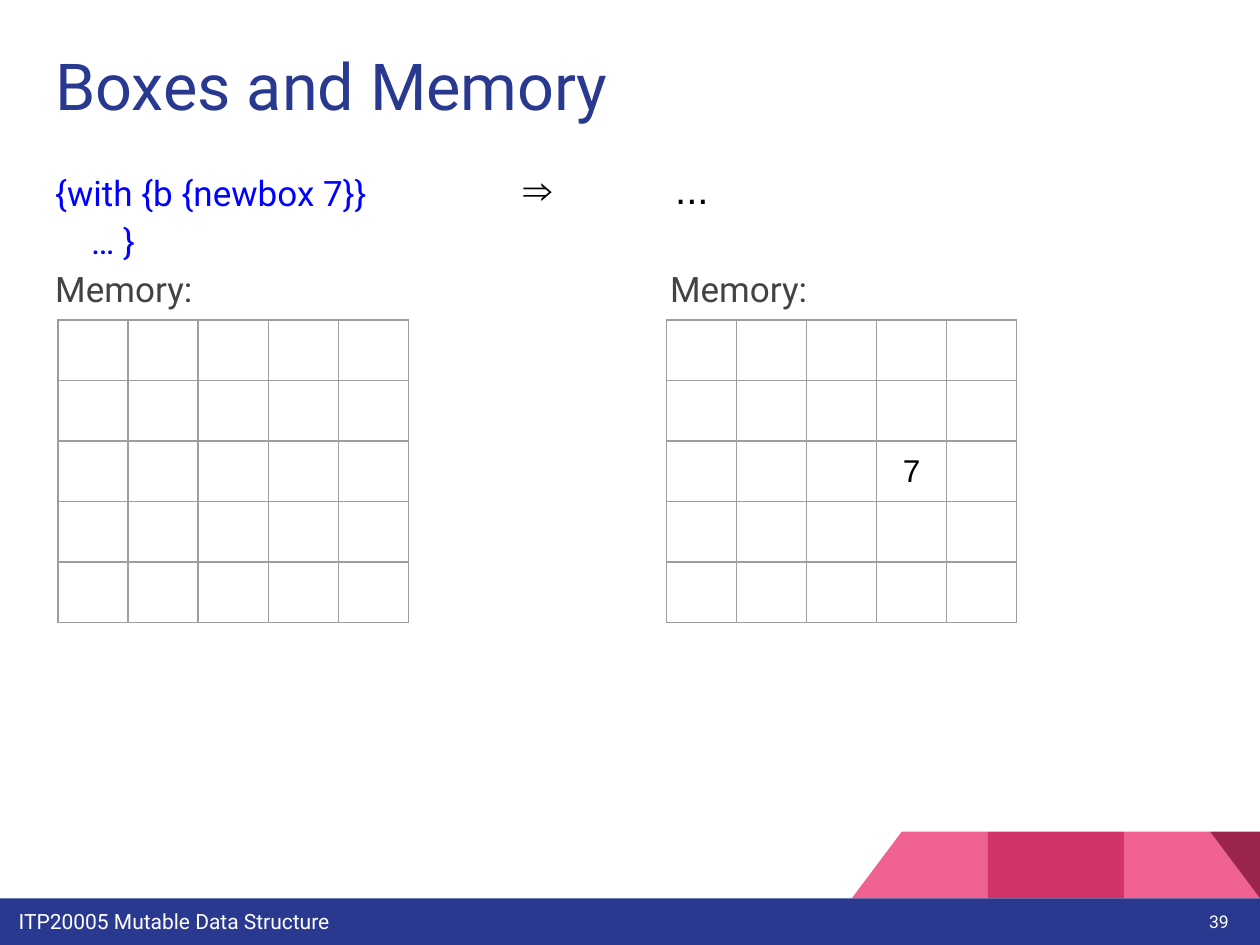
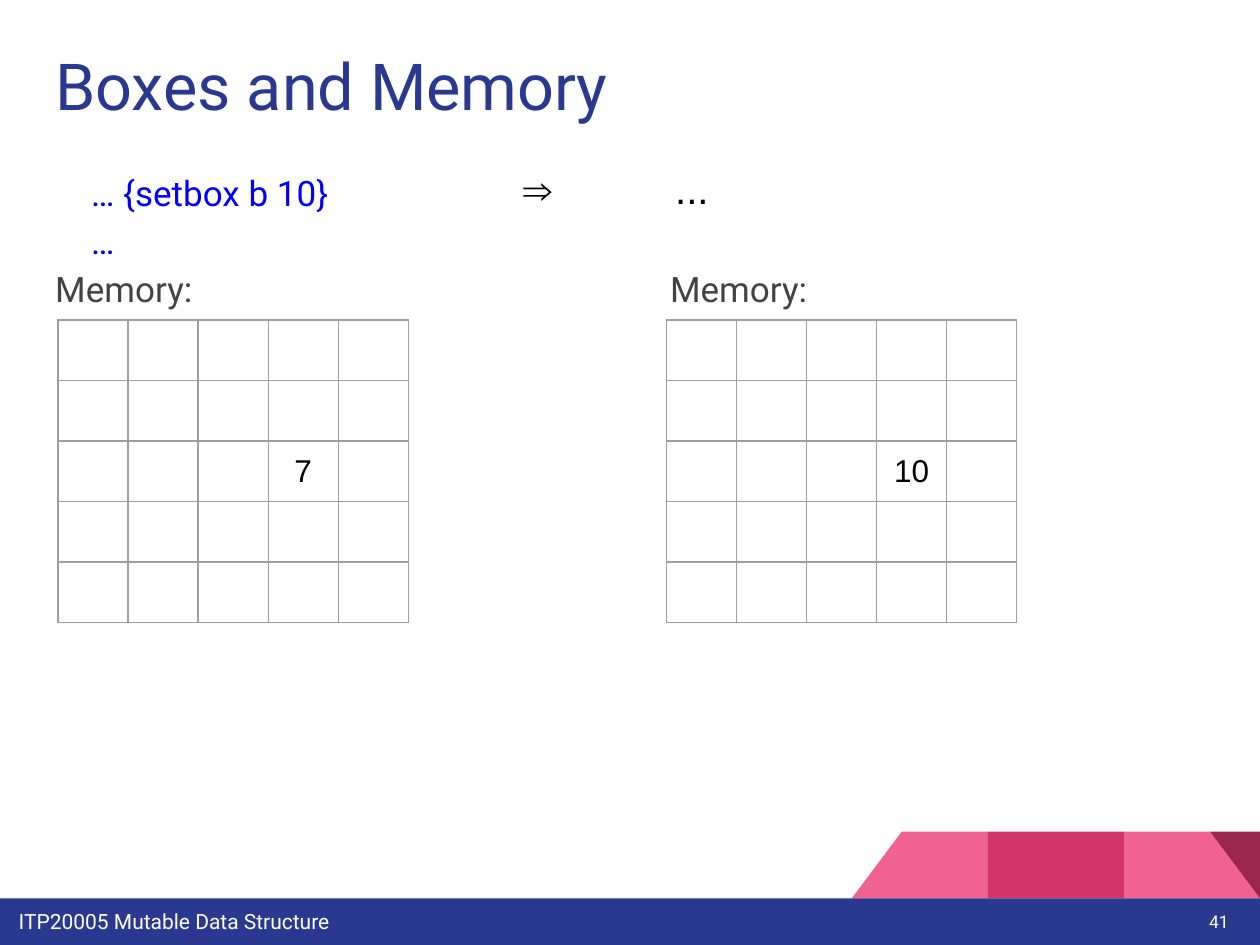
"""Build two slides that show boxes and memory before and after a step."""
import dataclasses
import typing

import lxml.etree
import pptx
import pptx.dml.color
import pptx.enum.shapes
import pptx.enum.text
import pptx.oxml.ns
import pptx.shapes.autoshape
import pptx.slide
import pptx.util

COLS, ROWS = 100, 75
WIDE, HIGH = pptx.util.Inches(10), pptx.util.Inches(7.5)
INK = {
    "navy": "2A3990", "pink": "F06292", "rose": "D23369", "wine": "9C254D",
    "white": "FFFFFF", "code": "0000FF", "text": "434343", "black": "000000",
    "line": "9E9E9E",
}
KIND = pptx.enum.shapes.MSO_SHAPE
ALIGN = pptx.enum.text.PP_ALIGN
ANCHOR = pptx.enum.text.MSO_ANCHOR
CELLS = 5
SPOT = (2, 3)
STEP = 10.8


@dataclasses.dataclass(frozen=True)
class Box:
    left: float
    top: float
    width: float
    height: float

    def place(self) -> tuple[int, int, int, int]:
        return (across(self.left), down(self.top),
                across(self.width), down(self.height))


@dataclasses.dataclass(frozen=True)
class Block:
    kind: KIND
    box: Box
    ink: str
    turn: int = 0
    flip: bool = False


@dataclasses.dataclass(frozen=True)
class Line:
    text: str
    size: float
    ink: str
    font: str = "Roboto"
    align: ALIGN = ALIGN.LEFT
    indent: float = 0
    stop: float = 0
    space: typing.Optional[float] = None


@dataclasses.dataclass(frozen=True)
class Page:
    number: str
    code: tuple[tuple[str, float], ...]
    before: str
    after: str


def across(share: float) -> int:
    return round(WIDE * share / COLS)


def down(share: float) -> int:
    return round(HIGH * share / ROWS)


def ramp(step: int) -> Box:
    return Box(COLS - step * STEP, 56.9, STEP, 14.4)


BLOCKS = (
    Block(KIND.RIGHT_TRIANGLE, ramp(1), "pink"),
    Block(KIND.RIGHT_TRIANGLE, ramp(3), "pink", flip=True),
    Block(KIND.RECTANGLE, ramp(2), "rose"),
    Block(KIND.RIGHT_TRIANGLE, ramp(1), "wine", turn=180),
    Block(KIND.RECTANGLE, Box(0, 71.3, COLS, 3.7), "navy"),
)
PAGES = (
    Page("39", (("{with {b {newbox 7}}", 0), ("… }", 2.85)), "", "7"),
    Page("41", (("… {setbox b 10}", 2.85), ("…", 2.85)), "7", "10"),
)


def tint(name: str) -> pptx.dml.color.RGBColor:
    return pptx.dml.color.RGBColor.from_string(INK[name])


def draw(slide: pptx.slide.Slide, block: Block) -> None:
    shape = slide.shapes.add_shape(block.kind, *block.box.place())
    shape.shadow.inherit = False
    shape.fill.solid()
    shape.fill.fore_color.rgb = tint(block.ink)
    shape.line.fill.background()
    shape.rotation = block.turn
    if block.flip:
        shape.element.spPr.xfrm.set("flipH", "1")


def put(para: typing.Any, line: Line) -> None:
    para.alignment = line.align
    if line.space:
        para.line_spacing = line.space
    props = para._p.get_or_add_pPr()
    if line.indent:
        props.set("marL", str(across(line.indent)))
    if line.stop:
        tabs = lxml.etree.SubElement(props, pptx.oxml.ns.qn("a:tabLst"))
        lxml.etree.SubElement(tabs, pptx.oxml.ns.qn("a:tab"),
                              pos=str(across(line.stop)), algn="l")
    run = para.add_run()
    run.text = line.text
    run.font.name = line.font
    run.font.size = pptx.util.Pt(line.size)
    run.font.color.rgb = tint(line.ink)


def write(slide: pptx.slide.Slide, box: Box, lines: typing.Sequence[Line],
          anchor: ANCHOR = ANCHOR.TOP) -> pptx.shapes.autoshape.Shape:
    shape = slide.shapes.add_textbox(*box.place())
    frame = shape.text_frame
    frame.word_wrap = True
    frame.vertical_anchor = anchor
    frame.margin_left = frame.margin_right = across(1)
    frame.margin_top = frame.margin_bottom = down(1)
    for index, line in enumerate(lines):
        put(frame.add_paragraph() if index else frame.paragraphs[0], line)
    return shape


def edge(cell: typing.Any) -> None:
    props = cell._tc.get_or_add_tcPr()
    for index, side in enumerate(("lnL", "lnR", "lnT", "lnB")):
        rule = lxml.etree.Element(pptx.oxml.ns.qn(f"a:{side}"),
                                  w=str(pptx.util.Pt(0.75)))
        fill = lxml.etree.SubElement(rule, pptx.oxml.ns.qn("a:solidFill"))
        lxml.etree.SubElement(fill, pptx.oxml.ns.qn("a:srgbClr"),
                              val=INK["line"])
        props.insert(index, rule)


def grid(slide: pptx.slide.Slide, left: float, value: str) -> None:
    box = Box(left, 25.4, 27.8, 24)
    table = slide.shapes.add_table(CELLS, CELLS, *box.place()).table
    table.first_row = table.horz_banding = False
    for cell in table.iter_cells():
        cell.fill.background()
        cell.vertical_anchor = ANCHOR.MIDDLE
        edge(cell)
    if value:
        para = table.cell(*SPOT).text_frame.paragraphs[0]
        put(para, Line(value, 18, "black", "Arial", ALIGN.CENTER))


def build(slide: pptx.slide.Slide, page: Page) -> None:
    for block in BLOCKS:
        draw(slide, block)
    write(slide, Box(0.5, 71.1, 73.5, 3.6),
          [Line("ITP20005 Mutable Data Structure", 12, "white")])
    write(slide, Box(3.4, 2.6, 93.2, 8.9),
          [Line("Boxes and Memory", 37, "navy")])
    lines = [Line(text, 20, "code", indent=indent, space=1.15)
             for text, indent in page.code]
    lines.append(Line("Memory:\tMemory:", 20, "text", stop=48.8, space=1.15))
    body = write(slide, Box(3.4, 12.1, 96.6, 53.9), lines)
    body.fill.solid()
    body.fill.fore_color.rgb = tint("white")
    write(slide, Box(92.5, 70.3, 6, 5.7),
          [Line(page.number, 10, "white", align=ALIGN.RIGHT)], ANCHOR.MIDDLE)
    grid(slide, 4.6, page.before)
    grid(slide, 52.9, page.after)
    write(slide, Box(40.6, 12, 41.1, 5.1),
          [Line("⇒\t...", 23, "black", "Arial", stop=12)])


def main() -> None:
    deck = pptx.Presentation()
    deck.slide_width, deck.slide_height = WIDE, HIGH
    for page in PAGES:
        build(deck.slides.add_slide(deck.slide_layouts[6]), page)
    deck.save("out.pptx")


if __name__ == "__main__":
    main()
